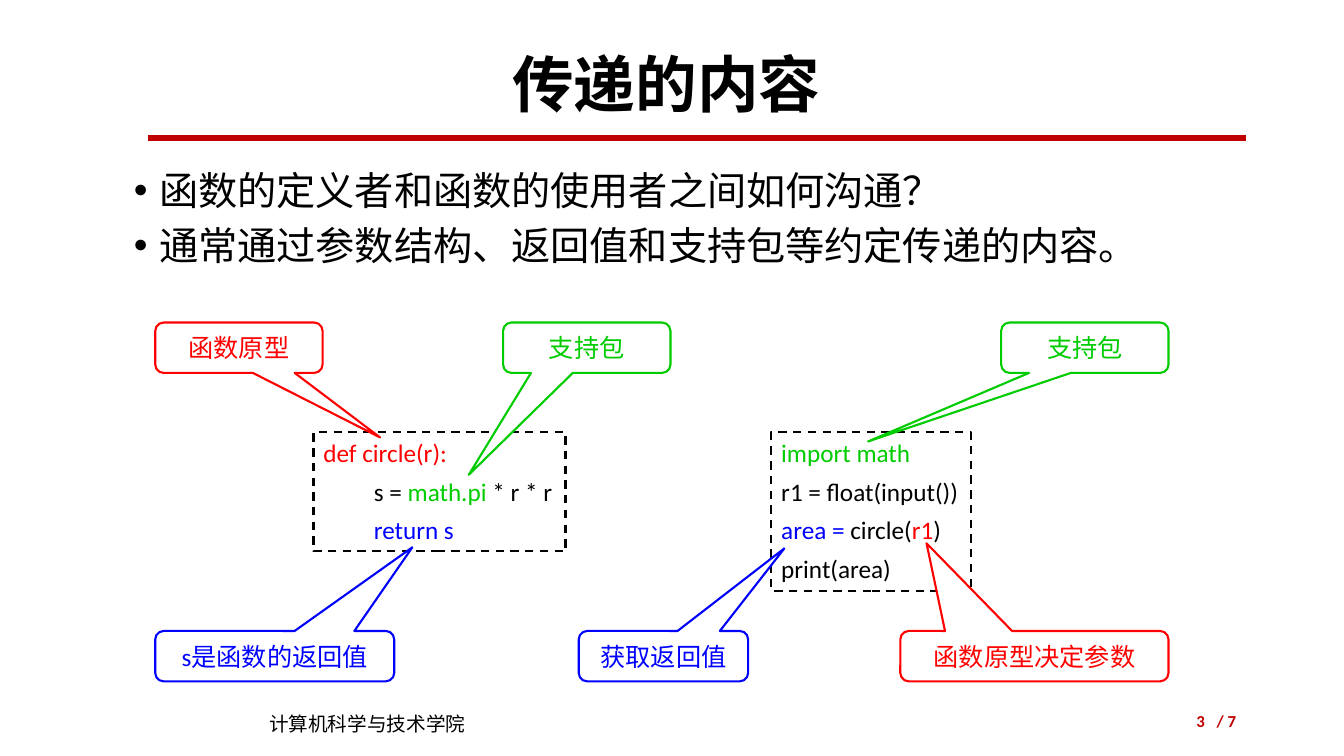
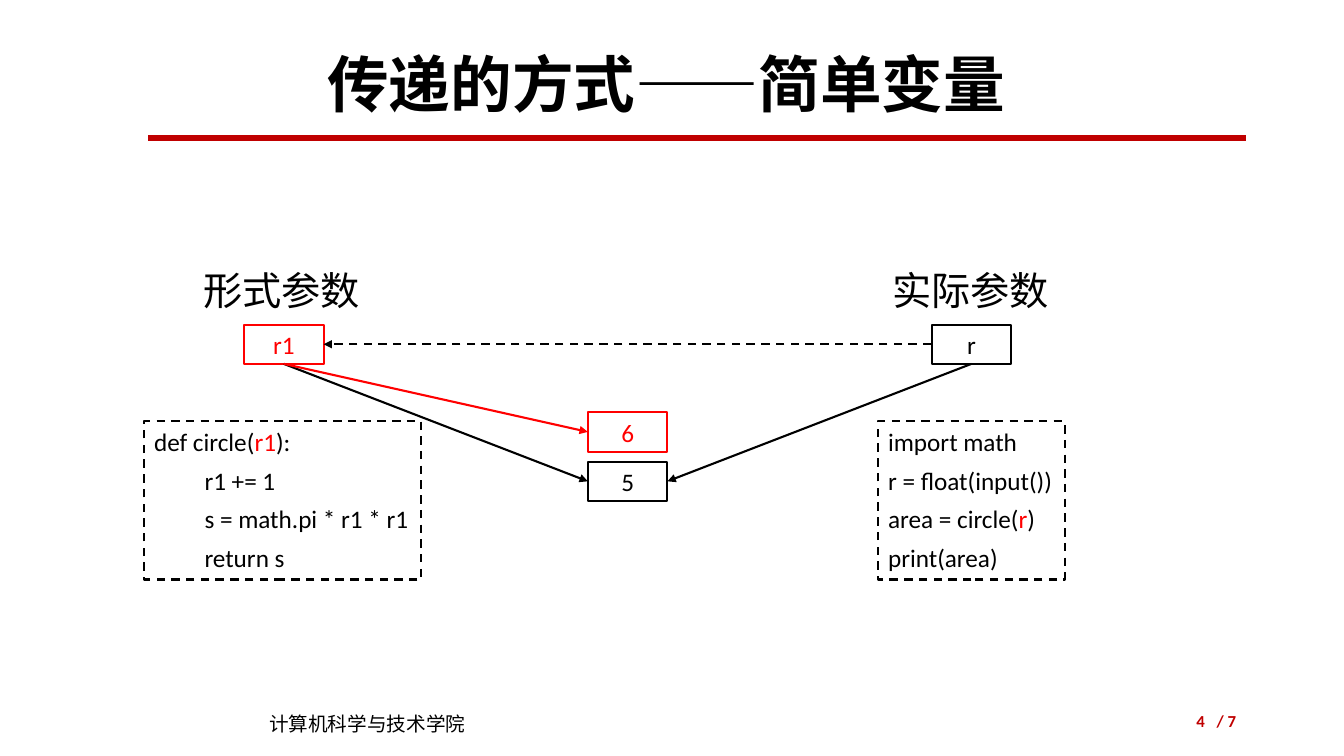
from dataclasses import dataclass
from typing import NamedTuple

from lxml import etree
from pptx import Presentation
from pptx import util as u
from pptx.dml.color import RGBColor
from pptx.enum import dml, shapes, text
from pptx.oxml.ns import qn

# Shared style
BLACK, WHITE, RED, GREEN, BLUE, CRIMSON = (
    "000000", "FFFFFF", "FF0000", "00CC00", "0000FF", "C00000")
LATIN, CHINESE, BODY = "Calibri", "Noto Sans CJK SC", "Arial"
LINE_WIDTH = 1.5
TITLE_ONLY = 5
LEFT, CENTER, RIGHT, JUSTIFY = (
    text.PP_ALIGN.LEFT, text.PP_ALIGN.CENTER, text.PP_ALIGN.RIGHT, text.PP_ALIGN.JUSTIFY)
TOP, MIDDLE = text.MSO_ANCHOR.TOP, text.MSO_ANCHOR.MIDDLE
SITE_LEFT, SITE_BOTTOM, SITE_RIGHT = 1, 2, 3


class Span(NamedTuple):
    words: str
    color: str = BLACK


class Area(NamedTuple):
    left: float
    top: float
    width: float
    height: float

    def lengths(self) -> list:
        return [u.Inches(value) for value in self]


@dataclass
class Callout:
    words: str
    color: str
    left: float
    top: float
    width: float
    tip: tuple[float, float]


@dataclass
class Cell:
    words: str
    color: str
    left: float
    top: float


@dataclass
class Arrow:
    start: str
    start_site: int
    end: str
    end_site: int
    color: str = BLACK
    dashed: bool = False


def rgb(color: str) -> RGBColor:
    return RGBColor.from_string(color)


def add_bullet(para) -> None:
    properties = para._p.get_or_add_pPr()
    properties.set("marL", str(u.Inches(0.25)))
    properties.set("indent", str(-u.Inches(0.25)))
    etree.SubElement(properties, qn("a:buFont"), typeface=BODY)
    etree.SubElement(properties, qn("a:buChar"), char="•")


def add_tab_stop(para) -> None:
    stops = etree.SubElement(para._p.get_or_add_pPr(), qn("a:tabLst"))
    etree.SubElement(stops, qn("a:tab"), pos=str(u.Inches(0.5)), algn="l")


def write(frame, lines: list, *, size: float = 18, color: str = BLACK, font: str = LATIN,
          bold: bool = False, align=LEFT, anchor=TOP, gap: float = 0, spacing: float = 1,
          wrap: bool = True, grow: bool = False, prepare=None) -> None:
    """Fill a frame; each line is a string or a list of spans."""
    frame.word_wrap = wrap
    frame.vertical_anchor = anchor
    frame.auto_size = (text.MSO_AUTO_SIZE.SHAPE_TO_FIT_TEXT if grow
                       else text.MSO_AUTO_SIZE.NONE)
    for index, line in enumerate(lines):
        para = frame.add_paragraph() if index else frame.paragraphs[0]
        para.alignment, para.line_spacing = align, spacing
        para.space_before = u.Pt(gap if index else 0)
        if prepare:
            prepare(para)
        for span in [Span(line, color)] if isinstance(line, str) else line:
            run = para.add_run()
            run.text = span.words
            run.font.size, run.font.name, run.font.bold = u.Pt(size), font, bold
            run.font.color.rgb = rgb(span.color)
            etree.SubElement(run.font._element, qn("a:ea"), typeface=CHINESE)


def add_text(page, area: Area, lines: list, **style) -> None:
    write(page.shapes.add_textbox(*area.lengths()).text_frame, lines, **style)


def add_box(page, kind, area: Area, color: str, *, fill: str = "", dashed: bool = False):
    box = page.shapes.add_shape(kind, *area.lengths())
    box.shadow.inherit = False
    if fill:
        box.fill.solid()
        box.fill.fore_color.rgb = rgb(fill)
    else:
        box.fill.background()
    style_line(box.line, color, dashed=dashed)
    return box


def style_line(line, color: str, *, width: float = LINE_WIDTH, dashed: bool = False) -> None:
    line.color.rgb = rgb(color)
    line.width = u.Pt(width)
    if dashed:
        line.dash_style = dml.MSO_LINE.DASH


def add_line(page, start: tuple, end: tuple, color: str, **style):
    line = page.shapes.add_connector(
        shapes.MSO_CONNECTOR.STRAIGHT, *(u.Inches(value) for value in start + end))
    style_line(line.line, color, **style)
    etree.SubElement(line._element.spPr, qn("a:effectLst"))
    return line


def add_code(page, area: Area, lines: list) -> None:
    box = add_box(page, shapes.MSO_SHAPE.RECTANGLE, area, BLACK, fill=WHITE, dashed=True)
    write(box.text_frame, lines, gap=6, wrap=False, grow=True, prepare=add_tab_stop)


def add_callout(page, callout: Callout) -> None:
    height = 0.5
    area = Area(callout.left, callout.top, callout.width, height)
    box = add_box(page, shapes.MSO_SHAPE.ROUNDED_RECTANGULAR_CALLOUT, area,
                  callout.color, fill=WHITE)
    # The tip is measured from the centre of the box
    box.adjustments[0] = (callout.tip[0] - callout.left) / callout.width - 0.5
    box.adjustments[1] = (callout.tip[1] - callout.top) / height - 0.5
    write(box.text_frame, [callout.words], color=callout.color, align=CENTER, anchor=MIDDLE)


def add_cell(page, cell: Cell):
    box = add_box(page, shapes.MSO_SHAPE.RECTANGLE,
                  Area(cell.left, cell.top, 0.79, 0.39), cell.color)
    write(box.text_frame, [cell.words], color=cell.color, align=CENTER, anchor=MIDDLE)
    return box


def add_arrow(page, arrow: Arrow, cells: dict) -> None:
    line = add_line(page, (0, 0), (1, 1), arrow.color, dashed=arrow.dashed)
    line.begin_connect(cells[arrow.start], arrow.start_site)
    line.end_connect(cells[arrow.end], arrow.end_site)
    etree.SubElement(line.line._get_or_add_ln(), qn("a:tailEnd"), type="triangle")


def add_page(deck, title: str, number: int):
    """Add a page with its title, rule and footer."""
    page = deck.slides.add_slide(deck.slide_layouts[TITLE_ONLY])
    heading = page.shapes.title
    heading.left, heading.top, heading.width, heading.height = Area(
        0.86, 0.4, 11.5, 0.94).lengths()
    write(heading.text_frame, [title], size=44, bold=True, align=CENTER,
          anchor=MIDDLE, spacing=0.9)
    add_line(page, (1.47, 1.37), (12.36, 1.37), CRIMSON, width=4.5)
    add_text(page, Area(2.57, 7.01, 2.92, 0.34), ["计算机科学与技术学院"],
             size=14, font=CHINESE)
    for words, area in ((str(number), Area(9.42, 6.95, 2.63, 0.4)),
                        ("/ 7", Area(11.62, 6.95, 0.74, 0.4))):
        add_text(page, area, [words], size=12, color=CRIMSON, bold=True,
                 align=RIGHT, anchor=MIDDLE)
    return page


def build_contents(deck) -> None:
    page = add_page(deck, "传递的内容", 3)
    add_text(page, Area(1.23, 1.6, 11.13, 5.15),
             ["函数的定义者和函数的使用者之间如何沟通？",
              "通常通过参数结构、返回值和支持包等约定传递的内容。"],
             size=28, font=BODY, align=JUSTIFY, gap=6, prepare=add_bullet)
    # Caller and function code
    add_code(page, Area(7.65, 4.29, 1.98, 1.57), [
        [Span("import math", GREEN)],
        "r1 = float(input())",
        [Span("area = ", BLUE), Span("circle("), Span("r1", RED), Span(")")],
        "print(area)"])
    add_code(page, Area(3.11, 4.29, 2.5, 1.18), [
        [Span("def circle(r):", RED)],
        [Span("\ts = "), Span("math.pi ", GREEN), Span("* r * r")],
        [Span("\t"), Span("return s", BLUE)]])
    # Callouts in an upper and a lower row
    upper, lower, narrow = 3.2, 6.26, 1.66
    for callout in (
            Callout("函数原型", RED, 1.54, upper, narrow, (3.77, 4.34)),
            Callout("获取返回值", BLUE, 5.74, lower, 1.68, (7.78, 5.44)),
            Callout("s是函数的返回值", BLUE, 1.54, lower, 2.37, (4.09, 5.43)),
            Callout("支持包", GREEN, 4.99, upper, narrow, (4.65, 4.71)),
            Callout("函数原型决定参数", RED, 8.93, lower, 2.66, (9.19, 5.39)),
            Callout("支持包", GREEN, 9.93, upper, narrow, (8.61, 4.38))):
        add_callout(page, callout)


def build_simple_variable(deck) -> None:
    page = add_page(deck, "传递的方式——简单变量", 4)
    add_code(page, Area(8.71, 4.18, 1.85, 1.57), [
        "import math",
        "r = float(input())",
        [Span("area = circle("), Span("r", RED), Span(")")],
        "print(area)"])
    add_code(page, Area(1.43, 4.18, 2.75, 1.57), [
        [Span("def circle("), Span("r1", RED), Span("):")],
        "\tr1 += 1",
        "\ts = math.pi * r1 * r1",
        "\treturn s"])
    for words, left in (("形式参数", 1.92), ("实际参数", 8.75)):
        add_text(page, Area(left, 2.59, 1.77, 0.57), [words], size=28, wrap=False, grow=True)
    # Variables, values and the references between them
    cells = {cell.words: add_cell(page, cell) for cell in (
        Cell("r1", RED, 2.42, 3.22), Cell("r", BLACK, 9.24, 3.22),
        Cell("6", RED, 5.83, 4.09), Cell("5", BLACK, 5.83, 4.58))}
    for arrow in (
            Arrow("r1", SITE_BOTTOM, "5", SITE_LEFT),
            Arrow("r", SITE_LEFT, "r1", SITE_RIGHT, dashed=True),
            Arrow("r", SITE_BOTTOM, "5", SITE_RIGHT),
            Arrow("r1", SITE_BOTTOM, "6", SITE_LEFT, RED)):
        add_arrow(page, arrow, cells)


def main() -> None:
    deck = Presentation()
    deck.slide_width, deck.slide_height = u.Inches(13.33), u.Inches(7.5)
    build_contents(deck)
    build_simple_variable(deck)
    deck.save("out.pptx")


if __name__ == "__main__":
    main()
